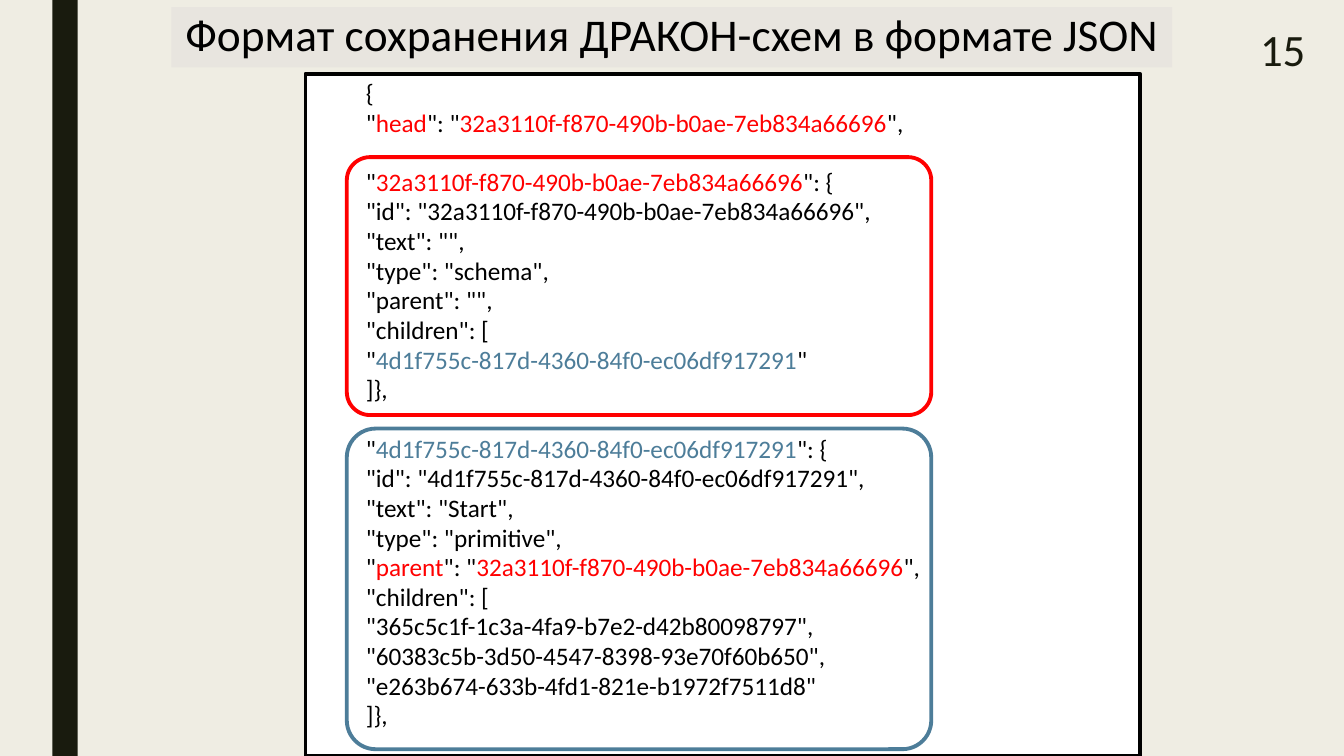
"""Build the slide on storing DRAKON schemes as JSON."""
from pptx import Presentation, util as u
from pptx.dml.color import RGBColor
from pptx.enum import shapes, text

FONT = "Calibri"
BLACK, WHITE, RED, BLUE, DARK = "000000", "FFFFFF", "FF0000", "4D7D99", "191B0E"
BACKGROUND, TITLE_FILL = "EFEDE3", "E8E5DF"
TITLE = "Формат сохранения ДРАКОН-схем в формате JSON"
NUMBER = "15"
HEAD_ID = "32a3110f-f870-490b-b0ae-7eb834a66696"
START_ID = "4d1f755c-817d-4360-84f0-ec06df917291"
HEAD, PARENT, START = (HEAD_ID, RED), ("parent", RED), (START_ID, BLUE)

JSON_LINES = [
    ["{"],
    ['"', ("head", RED), '": "', HEAD, '",'],
    [],
    ['"', HEAD, '": {'],
    [f'"id": "{HEAD_ID}",'],
    ['"text": "",'],
    ['"type": "schema",'],
    ['"parent": "",'],
    ['"children": ['],
    ['"', START, '"'],
    ["]},"],
    [],
    ['"', START, '": {'],
    [f'"id": "{START_ID}",'],
    ['"text": "Start",'],
    ['"type": "primitive",'],
    ['"', PARENT, '": "', HEAD, '",'],
    ['"children": ['],
    ['"365c5c1f-1c3a-4fa9-b7e2-d42b80098797",'],
    ['"60383c5b-3d50-4547-8398-93e70f60b650",'],
    ['"e263b674-633b-4fd1-821e-b1972f7511d8"'],
    ["]},"],
]
FRAMES = [(3.96, 6.5, RED), (10.8, 8.08, BLUE)]


def color(value):
    return RGBColor.from_string(value)


def add_box(s, kind, at, fill=None, line=None):
    sp = s.shapes.add_shape(kind, *map(u.Cm, at))
    sp.shadow.inherit = False
    if fill:
        sp.fill.solid()
        sp.fill.fore_color.rgb = color(fill)
    else:
        sp.fill.background()
    if line:
        sp.line.color.rgb = color(line)
        sp.line.width = u.Pt(2.75)
    else:
        sp.line.fill.background()
    return sp


def write(sp, lines, size, align, anchor, spacing=1.0, indent=0):
    tf = sp.text_frame
    tf.word_wrap = True
    tf.vertical_anchor = anchor
    tf.margin_left = u.Cm(0.25 + indent)
    for i, parts in enumerate(lines):
        p = tf.add_paragraph() if i else tf.paragraphs[0]
        p.alignment, p.line_spacing = align, spacing
        p.font.size, p.font.name = u.Pt(size), FONT
        for part in parts:
            value, shade = (part, BLACK) if isinstance(part, str) else part
            r = p.add_run()
            r.text = value
            r.font.size, r.font.name = u.Pt(size), FONT
            r.font.color.rgb = color(shade)


def main():
    prs = Presentation()
    prs.slide_width, prs.slide_height = u.Cm(33.87), u.Cm(19.05)
    s = prs.slides.add_slide(prs.slide_layouts[6])
    s.background.fill.solid()
    s.background.fill.fore_color.rgb = color(BACKGROUND)
    rect, rounded = shapes.MSO_SHAPE.RECTANGLE, shapes.MSO_SHAPE.ROUNDED_RECTANGLE
    align, anchor = text.PP_ALIGN, text.MSO_ANCHOR

    add_box(s, rect, (1.32, 0, 0.64, 19.05), DARK)
    title = add_box(s, rect, (4.32, 0.18, 25.22, 1.52), TITLE_FILL)
    write(title, [[TITLE]], 32.4, align.CENTER, anchor.MIDDLE, 0.89)
    number = s.shapes.add_textbox(*map(u.Cm, (28.7, 0.66, 4.45, 1.12)))
    write(number, [[(NUMBER, DARK)]], 32, align.RIGHT, anchor.MIDDLE)

    listing = add_box(s, rect, (7.7, 1.86, 21.03, 17.19), WHITE, BLACK)
    write(listing, JSON_LINES, 18, align.LEFT, anchor.TOP, 0.98, 1.27)
    for top, height, line in FRAMES:
        frame = add_box(s, rounded, (8.74, top, 14.73, height), line=line)
        frame.adjustments[0] = 0.09

    prs.save("out.pptx")


if __name__ == "__main__":
    main()
